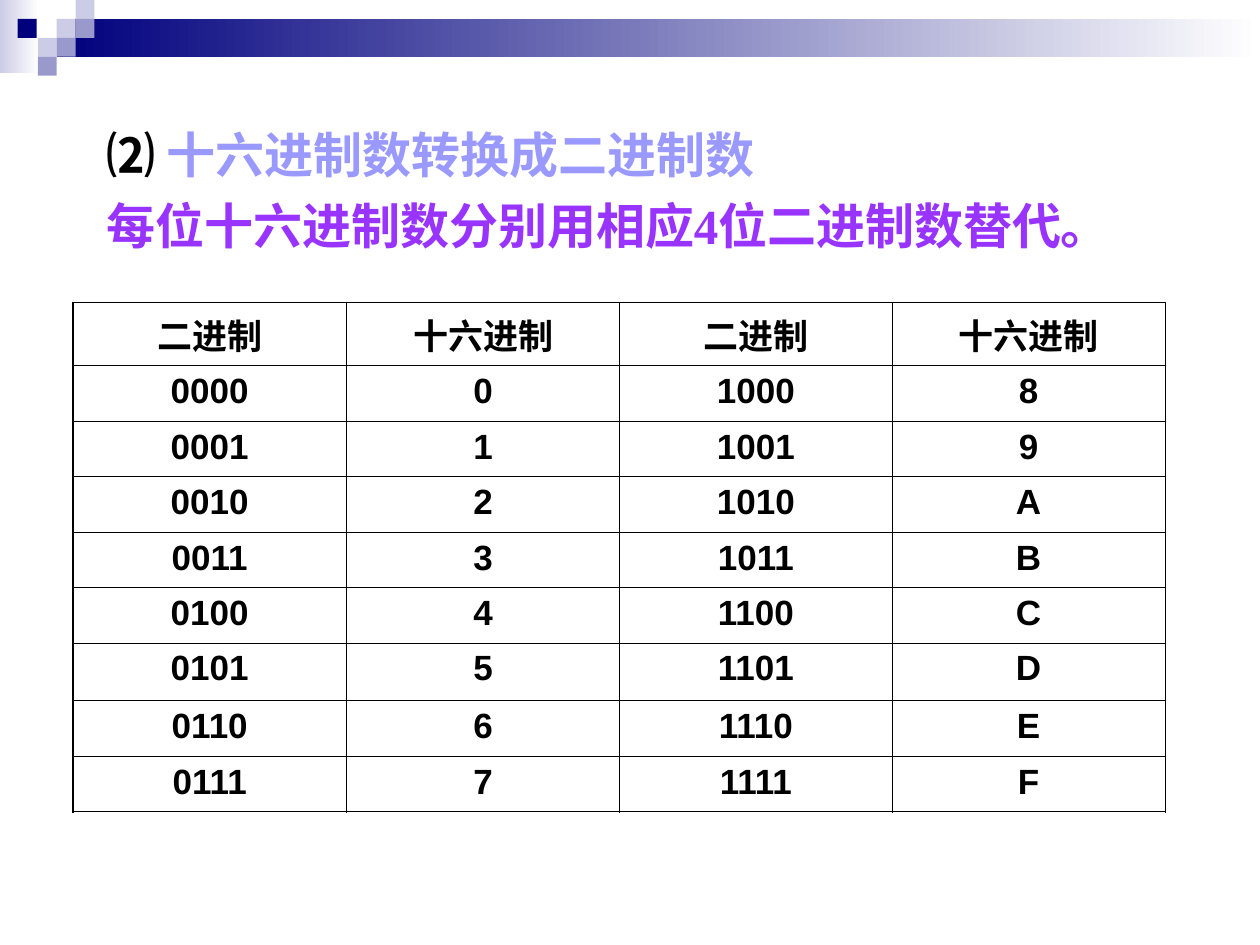
import pptx
import pptx.util
import pptx.oxml
import pptx.oxml.ns
import pptx.dml.color
import pptx.enum.shapes
import pptx.enum.text

Inches = pptx.util.Inches
Pt = pptx.util.Pt
qn = pptx.oxml.ns.qn

HUES = {
    "white": "FFFFFF", "black": "000000", "navy": "00007D",
    "pale": "CCCCE6", "mid": "9999CC",
    "lilac": "9999FF", "violet": "9933FF",
}


def hue(name):
    return pptx.dml.color.RGBColor.from_string(HUES[name])


def apply(item, form):
    for key, value in form.items():
        setattr(item, key, value)


class Deck:
    """Holds the style and the current slide."""

    sans = "Noto Sans CJK SC"
    thin, thick = 0.45, 1.08
    inset = {
        "margin_left": Inches(0.1), "margin_right": Inches(0.1),
        "margin_top": Inches(0.05), "margin_bottom": Inches(0.05),
    }

    def __init__(self, wide, high):
        self.show = pptx.Presentation()
        apply(self.show, {"slide_width": Inches(wide), "slide_height": Inches(high)})
        self.slide = self.show.slides.add_slide(self.show.slide_layouts[6])

    def block(self, left, top, wide, high, tone, fade=False):
        """Plain rectangle, or one that fades to white on the right."""
        shape = self.slide.shapes.add_shape(
            pptx.enum.shapes.MSO_SHAPE.RECTANGLE,
            Inches(left), Inches(top), Inches(wide), Inches(high))
        shape.shadow.inherit = False
        shape.line.fill.background()
        if fade:
            shape.fill.gradient()
            shape.fill.gradient_angle = 180
            for stop, name in zip(shape.fill.gradient_stops, ("white", tone)):
                stop.color.rgb = hue(name)
        else:
            shape.fill.solid()
            shape.fill.fore_color.rgb = hue(tone)

    def run(self, para, text, size, face, tone):
        run = para.add_run()
        run.text = text
        apply(run.font, {"size": Pt(size), "bold": True, "name": face})
        run.font.color.rgb = hue(tone)
        east = pptx.oxml.parse_xml(
            f'<a:ea {pptx.oxml.ns.nsdecls("a")} typeface="{self.sans}"/>')
        run.font._element.find(qn("a:latin")).addnext(east)

    def text(self, left, top, wide, high, lines, size, gap):
        """Text box; each line is a list of (text, face, tone)."""
        box = self.slide.shapes.add_textbox(
            Inches(left), Inches(top), Inches(wide), Inches(high))
        frame = box.text_frame
        apply(frame, {**self.inset, "word_wrap": True})
        for i, line in enumerate(lines):
            para = frame.add_paragraph() if i else frame.paragraphs[0]
            para.space_before = Pt(gap)
            for text, face, tone in line:
                self.run(para, text, size, face, tone)

    def edge(self, cell, side, width):
        cell._tc.get_or_add_tcPr().append(pptx.oxml.parse_xml(
            f'<a:{side} {pptx.oxml.ns.nsdecls("a")} w="{int(Pt(width))}">'
            f'<a:solidFill><a:srgbClr val="{HUES["black"]}"/></a:solidFill>'
            f'</a:{side}>'))

    def table(self, left, top, cols, highs, rows, size, gap):
        """Open grid with a thicker outer frame."""
        grid = self.slide.shapes.add_table(
            len(rows), len(cols), Inches(left), Inches(top),
            Inches(sum(cols)), Inches(sum(highs))).table
        apply(grid, {"first_row": False, "horz_banding": False})
        for col, wide in zip(grid.columns, cols):
            col.width = Inches(wide)
        for r, (row, high) in enumerate(zip(rows, highs)):
            grid.rows[r].height = Inches(high)
            for c, word in enumerate(row):
                cell = grid.cell(r, c)
                apply(cell, self.inset)
                outer = {
                    "lnL": c == 0, "lnR": c == len(cols) - 1,
                    "lnT": r == 0, "lnB": r == len(rows) - 1,
                }
                for side, bold in outer.items():
                    self.edge(cell, side, self.thick if bold else self.thin)
                cell.fill.background()
                para = cell.text_frame.paragraphs[0]
                apply(para, {"alignment": pptx.enum.text.PP_ALIGN.CENTER,
                             "space_before": Pt(gap)})
                self.run(para, word, size, "Arial", "black")

    def save(self):
        self.show.save("out.pptx")


def main():
    deck = Deck(10, 7.5)

    # Header bands
    deck.block(0, 0, 0.31, 0.58, "pale", fade=True)
    deck.block(0.45, 0.15, 9.55, 0.3, "navy", fade=True)

    # Header squares
    unit = 0.15
    for left, top, tone in [
        (0.45, 0.15, "pale"), (0.6, 0, "pale"), (0.6, 0.15, "mid"),
        (0.3, 0.3, "pale"), (0.14, 0.15, "navy"), (0.45, 0.3, "mid"),
        (0.3, 0.45, "mid"),
    ]:
        deck.block(left, top, unit, unit, tone)

    # Table of four-bit values and their hex digits
    rows = [["二进制", "十六进制"] * 2]
    for n in range(8):
        rows.append([f"{n:04b}", f"{n:X}", f"{n + 8:04b}", f"{n + 8:X}"])
    highs = [0.44] * 9
    highs[6] = 0.46
    deck.table(0.58, 2.4, [2.17, 2.17, 2.16, 2.17], highs, rows, 20, 5)

    # Heading and rule
    deck.text(0.75, 0.94, 8.74, 1.13, [
        [("⑵ ", deck.sans, "black"),
         ("十六进制数转换成二进制数", deck.sans, "lilac")],
        [("每位十六进制数分别用相应4位二进制数替代。",
          "Times New Roman", "violet")],
    ], 28, 7)

    deck.save()


if __name__ == "__main__":
    main()
